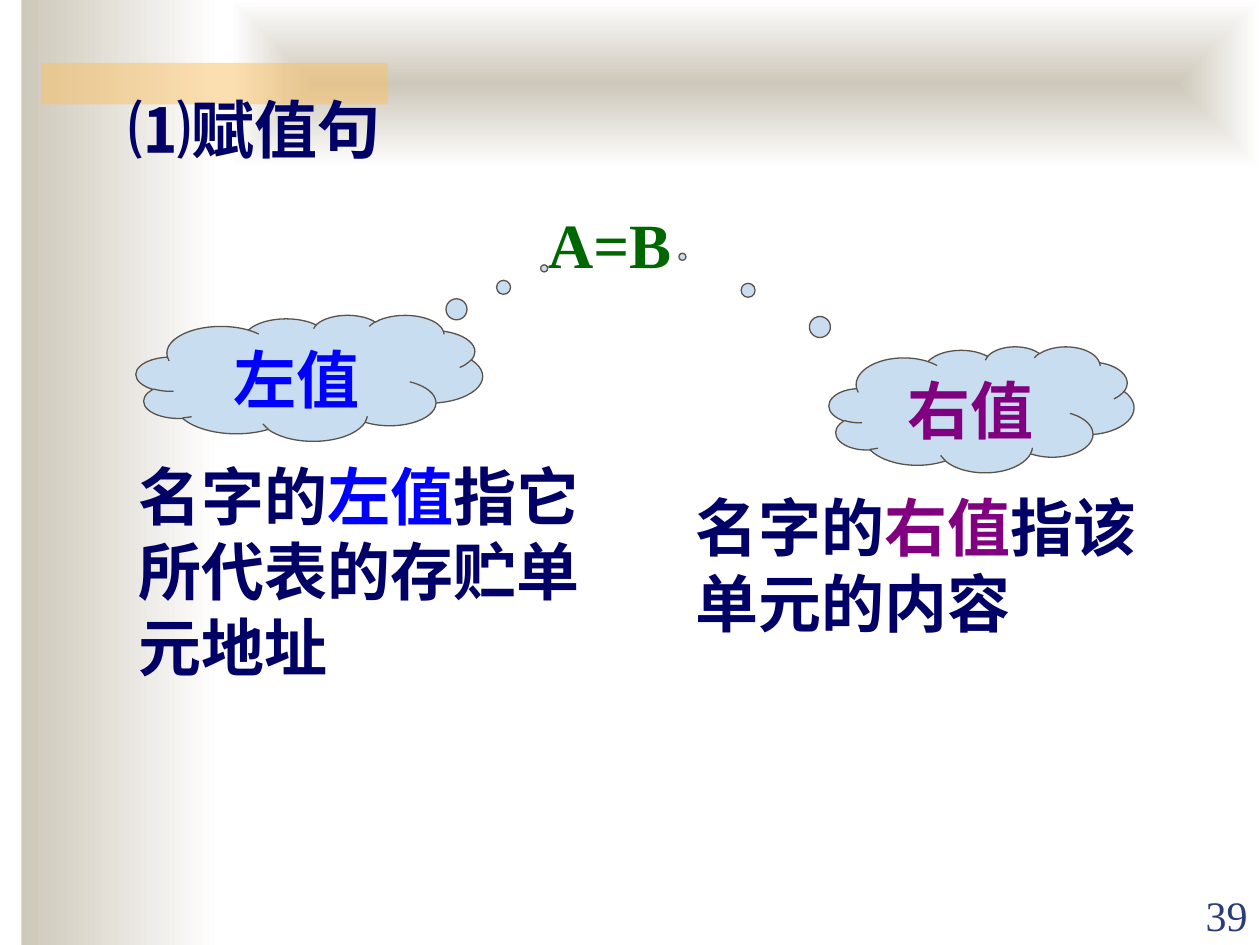
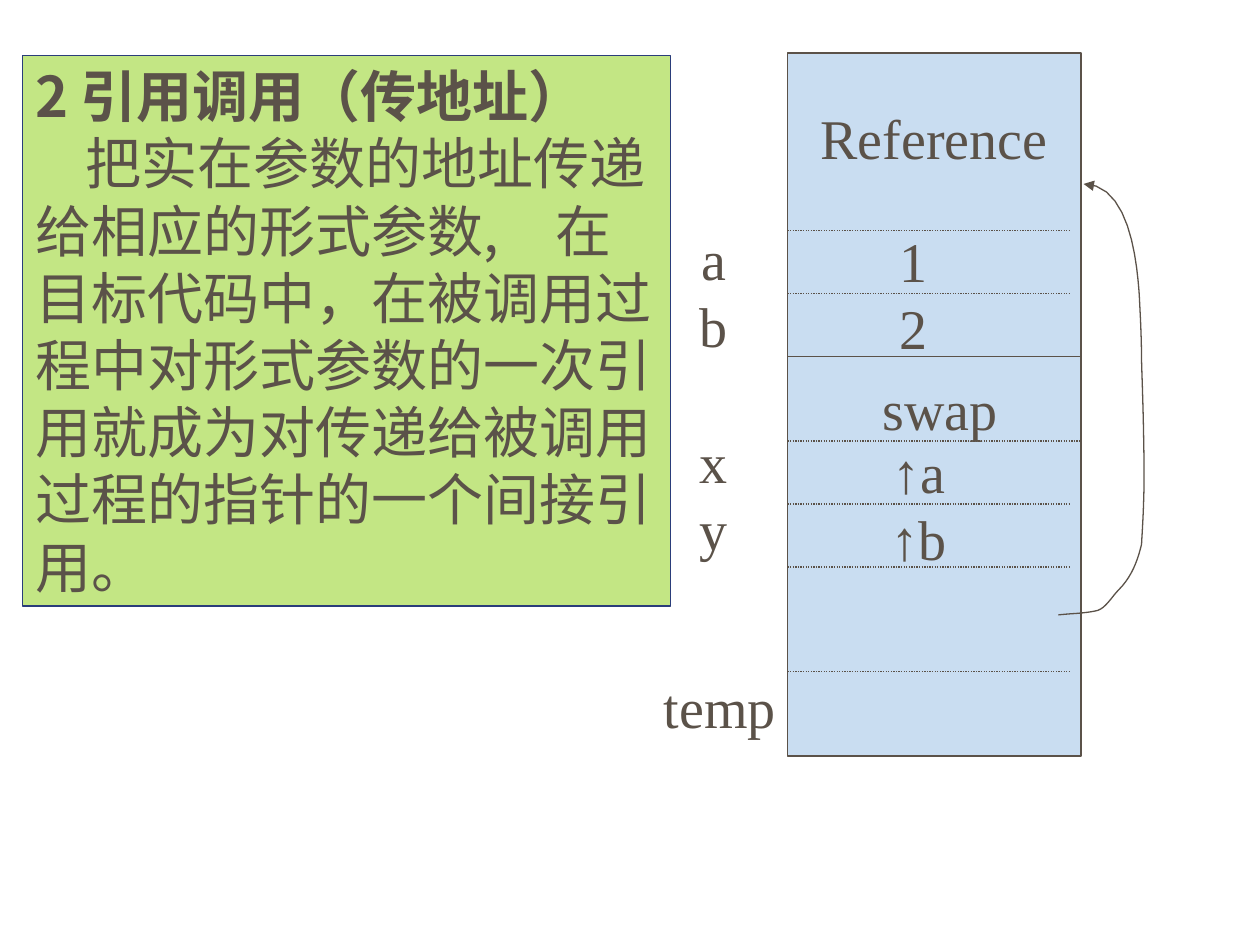
from lxml.etree import SubElement
from pptx import Presentation
from pptx.dml.color import RGBColor
from pptx.enum.dml import MSO_LINE
from pptx.enum.shapes import MSO_CONNECTOR, MSO_SHAPE
from pptx.enum.text import MSO_ANCHOR, PP_ALIGN
from pptx.oxml.ns import qn
from pptx.util import Inches, Pt

WHITE = RGBColor(0xFF, 0xFF, 0xFF)
SAND = RGBColor(0xCE, 0xC8, 0xBA)
AMBER = RGBColor(0xFA, 0xC1, 0x64)
SLATE = RGBColor(0x2A, 0x3D, 0x7A)
NAVY = RGBColor(0x00, 0x00, 0x66)
GREEN = RGBColor(0x00, 0x66, 0x00)
BLUE = RGBColor(0x00, 0x00, 0xFF)
PURPLE = RGBColor(0x80, 0x00, 0x80)
SKY = RGBColor(0xC9, 0xDD, 0xF1)
LIME = RGBColor(0xC3, 0xE6, 0x84)
BROWN = RGBColor(0x5B, 0x52, 0x49)

SERIF, SANS, CJK = "Times New Roman", "Arial", "Noto Sans CJK JP"
LINE_PITCH = 1.2
LEFT, CENTER, RIGHT = PP_ALIGN.LEFT, PP_ALIGN.CENTER, PP_ALIGN.RIGHT

HEADING = {"size": Pt(36), "name": SERIF, "bold": True}
MEMORY = {"size": Pt(32), "name": SERIF, "bold": False}
ARROW = {**MEMORY, "name": SANS}
NOTE = {**MEMORY, "name": CJK}
NOTE_TITLE = {**NOTE, "bold": True}
PAGE = {"size": Pt(24), "name": SERIF, "bold": False}

ASSIGNMENT_TEXTS = [
    ((9, 7.01, 1, 0.5), [("39", PAGE, SLATE)], RIGHT, {"vertical_anchor": MSO_ANCHOR.BOTTOM}),
    ((0.92, 0.67, 2.32, 0.7), [("⑴赋值句", HEADING, NAVY)], LEFT, {"word_wrap": False}),
    ((4.25, 1.58, 2.5, 0.7), [("A=B", HEADING, GREEN)], LEFT, {}),
]
VALUES = [
    {"name": "左值", "color": BLUE, "cloud": (1.08, 2.5, 2.75, 1), "pointer": (0.678, -0.87),
     "meaning": (1, 3.58, 3.92, 1.9), "after": "指它所代表的存贮单元地址"},
    {"name": "右值", "color": PURPLE, "cloud": (6.58, 2.75, 2.42, 1), "pointer": (-0.981, -1.212),
     "meaning": (5.42, 3.83, 3.92, 1.3), "after": "指该 单元的内容"},
]

NOTE_AREA = (0.18, 0.44, 5.14, 4.37)
NOTE_HEADING = "2 引用调用（传地址）"
NOTE_BODY = ("把实在参数的地址传递给相应的形式参数,　在目标代码中，在被调用过程中对形式参数的"
             "一次引用就成为对传递给被调用过程的指针的一个间接引用。")
NOTE_INDENT = 0.4

STACK_LEFT, STACK_WIDTH = 6.25, 2.33
FRAMES = [(0.42, 2.42), (2.83, 3.17)]
DIVIDERS = [(1.83, 2.25), (2.33, 2.25), (3.5, STACK_WIDTH), (4, 2.25), (4.5, 2.25), (5.33, 2.25)]
STACK_TEXTS = [
    ((STACK_LEFT, 0.77, STACK_WIDTH, 0.64), ["Reference"], CENTER),
    ((5.33, 1.73, 0.67, 1.17), ["a", "b"], CENTER),
    ((5.33, 3.34, 0.67, 1.17), ["x", "y"], CENTER),
    ((7, 1.75, 0.5, 1.17), ["1", "2"], CENTER),
    ((6.75, 2.92, 1.42, 0.64), ["swap"], CENTER),
    ((6.83, 3.42, 0.92, 1.17), ["↑a", "↑b"], CENTER),
    ((5.17, 5.29, 1.17, 0.64), ["temp"], LEFT),
]
RETURN_START = (8.4, 4.88)
RETURN_CURVES = [
    ((8.49, 4.87), (8.59, 4.87), (8.69, 4.85)),
    ((8.77, 4.84), (8.82, 4.74), (8.88, 4.68)),
    ((8.98, 4.58), (9.03, 4.45), (9.06, 4.32)),
    ((9.07, 4.15), (9.08, 3.97), (9.08, 3.79)),
    ((9.08, 3.48), (9.07, 3.17), (9.06, 2.86)),
    ((9.06, 2.68), (9.05, 2.49), (9.04, 2.31)),
    ((9.02, 2.06), (8.96, 1.46), (8.6, 1.46)),
]
CURVE_STEPS = 10


def inches(lengths):
    return [Inches(length) for length in lengths]


def write(shape, paragraphs, align=LEFT, frame_format=None):
    frame = shape.text_frame
    settings = {"word_wrap": True, "vertical_anchor": MSO_ANCHOR.TOP, **(frame_format or {})}
    for key, value in settings.items():
        setattr(frame, key, value)
    for index, runs in enumerate(paragraphs):
        paragraph = frame.paragraphs[0] if index == 0 else frame.add_paragraph()
        paragraph.alignment = align
        paragraph.line_spacing = Pt(runs[0][1]["size"].pt * LINE_PITCH)
        for text, font_format, color in runs:
            run = paragraph.add_run()
            run.text = text
            for key, value in font_format.items():
                setattr(run.font, key, value)
            run.font.color.rgb = color
            SubElement(run.font._element, qn("a:ea"), typeface=CJK)


def add_text(slide, area, paragraphs, align=LEFT, frame_format=None):
    write(slide.shapes.add_textbox(*inches(area)), paragraphs, align, frame_format)


def add_block(slide, kind, area, fill=None, line=None):
    block = slide.shapes.add_shape(kind, *inches(area))
    block.shadow.inherit = False
    if fill is not None:
        block.fill.solid()
        block.fill.fore_color.rgb = fill
    if line is None:
        block.line.fill.background()
    else:
        style_line(block.line, line)
    return block


def style_line(line, color):
    line.color.rgb = color
    line.width = Pt(0.75)


def add_gradient(slide, area, from_center=False):
    band = add_block(slide, MSO_SHAPE.RECTANGLE, area)
    band.fill.gradient()
    band.fill.gradient_angle = 0
    for stop, color, position in zip(band.fill.gradient_stops, (SAND, WHITE), (0, 1)):
        stop.color.rgb = color
        stop.position = position
    if from_center:
        gradient = band._element.spPr.find(qn("a:gradFill"))
        gradient.remove(gradient.find(qn("a:lin")))
        center = SubElement(gradient, qn("a:path"), {"path": "rect"})
        SubElement(center, qn("a:fillToRect"), {side: "50000" for side in "ltrb"})


def add_backdrop(slide):
    add_gradient(slide, (0.17, 0, 1.58, 7.5))
    add_gradient(slide, (1.83, 0, 8.17, 1.33), from_center=True)
    accent = add_block(slide, MSO_SHAPE.RECTANGLE, (0.33, 0.5, 2.75, 0.33), AMBER)
    tint = accent._element.spPr.find(qn("a:solidFill"))[0]
    SubElement(tint, qn("a:alpha"), val="50000")


def build_assignment(slide):
    add_backdrop(slide)
    for area, runs, align, frame_format in ASSIGNMENT_TEXTS:
        add_text(slide, area, [runs], align, frame_format)
    for value in VALUES:
        name = (value["name"], HEADING, value["color"])
        cloud = add_block(slide, MSO_SHAPE.CLOUD_CALLOUT, value["cloud"], SKY, BROWN)
        for index, offset in enumerate(value["pointer"]):
            cloud.adjustments[index] = offset
        write(cloud, [[name]], CENTER)
        meaning = [("名字的", HEADING, NAVY), name, (value["after"], HEADING, NAVY)]
        add_text(slide, value["meaning"], [meaning])


def add_note(slide):
    note = add_block(slide, MSO_SHAPE.RECTANGLE, NOTE_AREA, LIME, SLATE)
    write(note, [[(NOTE_HEADING, NOTE_TITLE, BROWN)], [(NOTE_BODY, NOTE, BROWN)]])
    body = note.text_frame.paragraphs[1]._p.get_or_add_pPr()
    body.set("marL", "0")
    body.set("indent", str(Inches(NOTE_INDENT)))


def add_divider(slide, top, width):
    ends = inches((STACK_LEFT, top, STACK_LEFT + width, top))
    divider = slide.shapes.add_connector(MSO_CONNECTOR.STRAIGHT, *ends)
    style_line(divider.line, BROWN)
    divider.line.dash_style = MSO_LINE.ROUND_DOT
    SubElement(divider._element.spPr, qn("a:effectLst"))


def curve_points():
    start = RETURN_START
    for first, second, end in RETURN_CURVES:
        for step in range(1, CURVE_STEPS + 1):
            t = step / CURVE_STEPS
            weights = ((1 - t) ** 3, 3 * t * (1 - t) ** 2, 3 * t * t * (1 - t), t ** 3)
            corners = (start, first, second, end)
            yield tuple(Inches(sum(w * c[axis] for w, c in zip(weights, corners)))
                        for axis in (0, 1))
        start = end


def add_return_arrow(slide):
    outline = slide.shapes.build_freeform(*inches(RETURN_START))
    outline.add_line_segments(list(curve_points()), close=False)
    arrow = outline.convert_to_shape()
    arrow.shadow.inherit = False
    arrow.fill.background()
    style_line(arrow.line, BROWN)
    SubElement(arrow.line._get_or_add_ln(), qn("a:tailEnd"), type="triangle")


def build_reference_call(slide):
    add_note(slide)
    for top, height in FRAMES:
        area = (STACK_LEFT, top, STACK_WIDTH, height)
        add_block(slide, MSO_SHAPE.RECTANGLE, area, SKY, BROWN)
    for top, width in DIVIDERS:
        add_divider(slide, top, width)
    for area, lines, align in STACK_TEXTS:
        paragraphs = [[(char, ARROW, BROWN) for char in line if char == "↑"]
                      + [(line.lstrip("↑"), MEMORY, BROWN)] for line in lines]
        add_text(slide, area, paragraphs, align)
    add_return_arrow(slide)


def main():
    deck = Presentation()
    deck.slide_width, deck.slide_height = Inches(10), Inches(7.5)
    for build in (build_assignment, build_reference_call):
        slide = deck.slides.add_slide(deck.slide_layouts[6])
        slide.background.fill.solid()
        slide.background.fill.fore_color.rgb = WHITE
        build(slide)
    deck.save("out.pptx")


if __name__ == "__main__":
    main()
